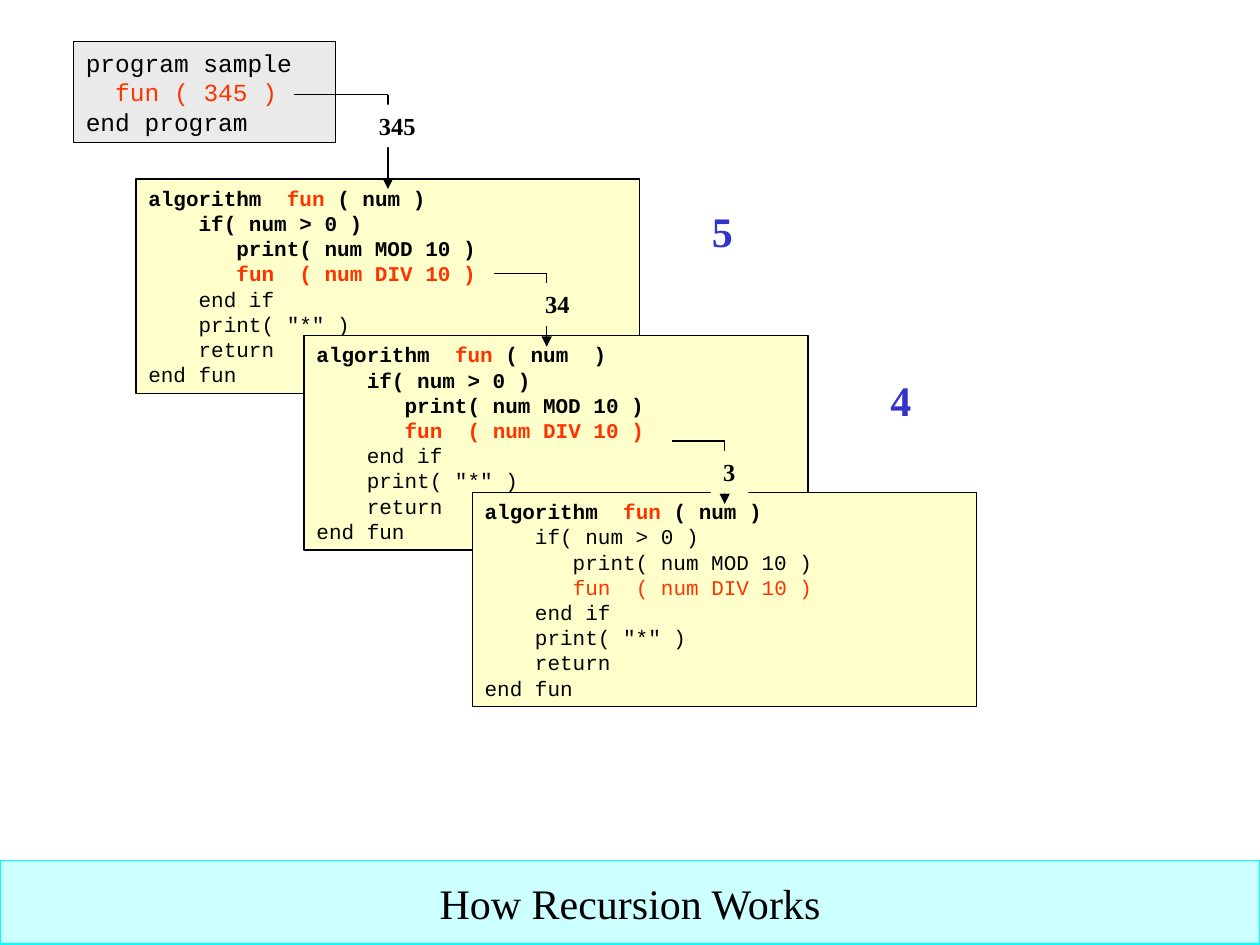
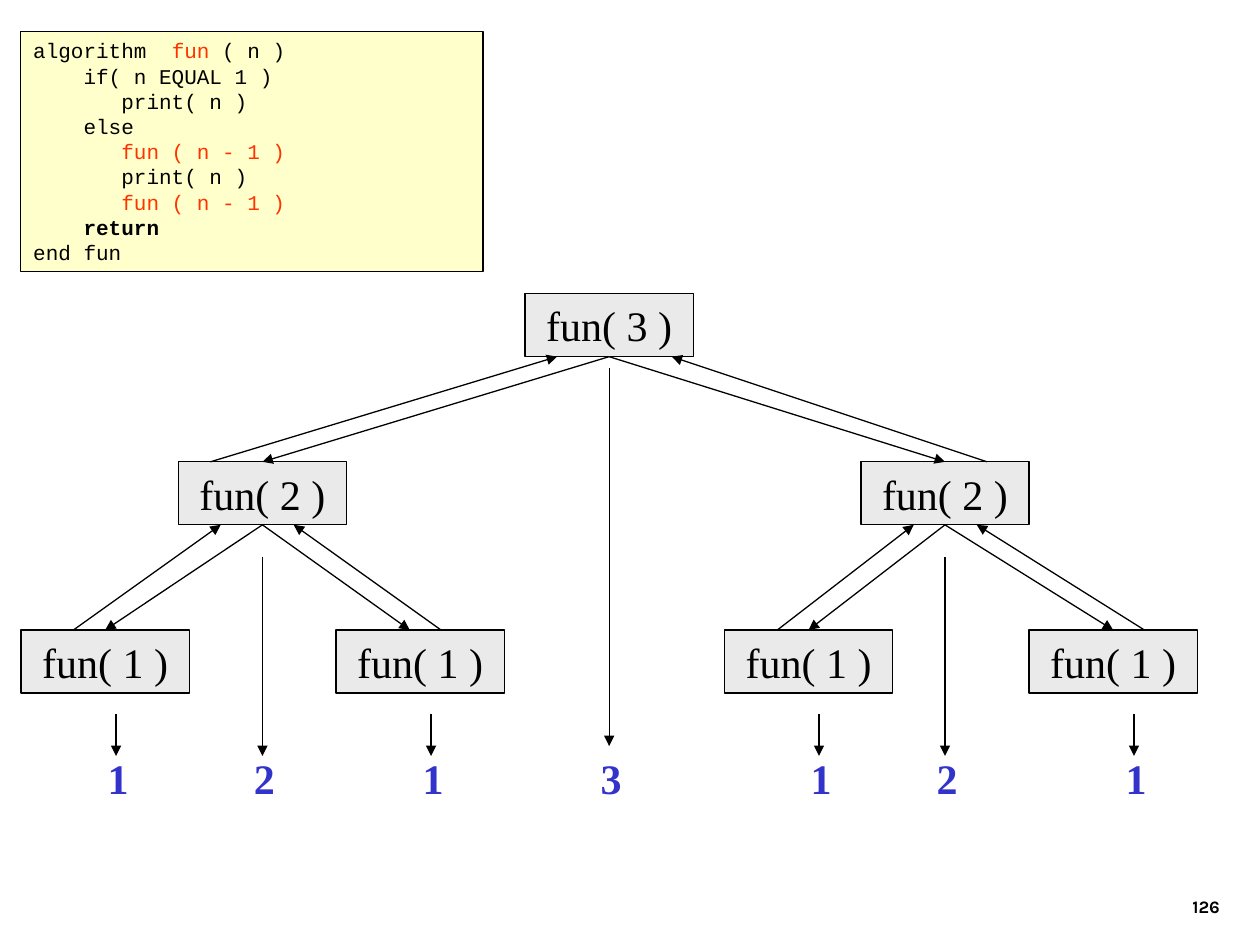
"""Build two slides that show how recursive calls unfold."""
from dataclasses import dataclass
from typing import Optional

from lxml import etree
from pptx import Presentation
from pptx.dml.color import RGBColor
from pptx.enum.shapes import MSO_CONNECTOR, MSO_SHAPE
from pptx.enum.text import MSO_ANCHOR, MSO_AUTO_SIZE, PP_ALIGN
from pptx.oxml.ns import qn
from pptx.shapes.autoshape import Shape
from pptx.shapes.connector import Connector
from pptx.slide import Slide
from pptx.text.text import TextFrame
from pptx.util import Cm, Pt

STRAIGHT = MSO_CONNECTOR.STRAIGHT
RECTANGLE = MSO_SHAPE.RECTANGLE
TOP, MIDDLE, BOTTOM = MSO_ANCHOR.TOP, MSO_ANCHOR.MIDDLE, MSO_ANCHOR.BOTTOM
LEFT, CENTER, RIGHT = PP_ALIGN.LEFT, PP_ALIGN.CENTER, PP_ALIGN.RIGHT
NO_AUTOFIT = MSO_AUTO_SIZE.NONE
TOP_SITE, BOTTOM_SITE = 0, 2

BLACK = RGBColor(0x00, 0x00, 0x00)
WHITE = RGBColor(0xFF, 0xFF, 0xFF)
GREY = RGBColor(0xEA, 0xEA, 0xEA)
CREAM = RGBColor(0xFF, 0xFF, 0xCC)
RED = RGBColor(0xFF, 0x33, 0x00)
BLUE = RGBColor(0x33, 0x33, 0xCC)
PALE_CYAN = RGBColor(0xCC, 0xFF, 0xFF)
CYAN = RGBColor(0x00, 0xFF, 0xFF)

SERIF, MONO, SANS = "Times New Roman", "Courier New", "Karla"
LINE_WIDTH = Pt(0.75)
TITLE_ONLY, BLANK = 5, 6


@dataclass(frozen=True)
class Box:
    """A rectangle in centimetres."""
    left: float
    top: float
    width: float
    height: float


@dataclass(frozen=True)
class TextStyle:
    """Font and placement of a text."""
    font: str
    size: int
    color: RGBColor = BLACK
    bold: bool = False
    align: PP_ALIGN = LEFT
    anchor: MSO_ANCHOR = TOP
    wrap: bool = False


@dataclass(frozen=True)
class Frame:
    """One activation of the algorithm and the call that enters it."""
    argument: str
    parameter: str
    bold_lines: range
    call_left: float
    call_turn: float
    call_top: float
    call_tip: float
    label_left: float
    label_width: float
    label_fill: RGBColor
    output: Optional[tuple[str, float, float]] = None


@dataclass(frozen=True)
class Node:
    """A call in the tree, with where its arrows run."""
    argument: int
    depth: int
    center: float
    print_x: float
    parent: Optional[int] = None
    return_start: float = 0
    return_end: float = 0
    call_end: Optional[float] = None


TITLE_STYLE = TextStyle(SERIF, 24, align=CENTER, anchor=MIDDLE)
NODE_STYLE = TITLE_STYLE
LABEL_STYLE = TextStyle(SERIF, 14, bold=True)
OUTPUT_STYLE = TextStyle(SERIF, 24, BLUE, bold=True)
PAGE_STYLE = TextStyle(SANS, 10, bold=True, align=RIGHT, anchor=BOTTOM, wrap=True)

PROGRAM = "program sample\n  |fun ( 345 )|\nend program"
DIGITS_ALGORITHM = """algorithm  |fun |( {} )
    if( num > 0 )
       print( num MOD 10 )
       |fun  ( num DIV 10 )|
    end if
    print( "*" )
    return
end fun"""
TREE_ALGORITHM = """algorithm  |fun |( n )
    if( n EQUAL 1 )
       print( n )
    else
       |fun ( n - 1 )|
       print( n )
       |fun ( n - 1 )|
    return
end fun"""

FRAME_LEFT, FRAME_TOP = 2.74, 3.61
FRAME_STEP_X, FRAME_STEP_Y = 3.39, 3.16
FRAMES = (
    Frame("345", "num", range(4), 5.92, 7.82, 1.91, 3.81, 7.39, 1.24, WHITE,
          ("5", 14.1, 4.01)),
    Frame("34", "num ", range(4), 9.96, 11.02, 5.51, 6.99, 10.74, 0.99, CREAM,
          ("4", 17.7, 7.42)),
    Frame("3", "num", range(1), 13.54, 14.61, 8.89, 10.16, 14.33, 0.76, CREAM),
)

NODE_WIDTH, NODE_HEIGHT = 3.39, 1.27
TREE_TOP, LEVEL_STEP = 5.92, 3.39
PRINT_START = (7.42, 11.23, 14.4)
PRINT_END = (15.04, 15.24, 15.24)
OUTPUT_TOP = 15.04
NODES = (
    Node(3, 0, 12.28, 12.28),
    Node(2, 1, 5.29, 5.29, 0, 4.24, 11.23),
    Node(2, 1, 19.05, 19.05, 0, 19.9, 13.54),
    Node(1, 2, 2.12, 2.34, 1, 1.48, 4.45),
    Node(1, 2, 8.47, 8.69, 1, 8.89, 5.92, 8.26),
    Node(1, 2, 16.3, 16.51, 2, 15.67, 18.42),
    Node(1, 2, 22.44, 22.86, 2, 23.07, 19.69),
)


def write_text(frame: TextFrame, text: str, style: TextStyle,
               bold_lines: range = range(0)) -> None:
    """Fill a frame; parts between bars are red."""
    frame.word_wrap = style.wrap
    frame.auto_size = NO_AUTOFIT
    frame.vertical_anchor = style.anchor
    for index, line in enumerate(text.split("\n")):
        paragraph = frame.add_paragraph() if index else frame.paragraphs[0]
        paragraph.alignment = style.align
        font = paragraph.font
        font.name, font.size = style.font, Pt(style.size)
        font.bold = style.bold or index in bold_lines
        font.color.rgb = style.color
        for position, part in enumerate(line.split("|")):
            if part:
                run = paragraph.add_run()
                run.text = part
                if position % 2:
                    run.font.color.rgb = RED


def paint(shape: Shape, fill: RGBColor, line: Optional[RGBColor]) -> None:
    """Give a shape its fill and outline."""
    shape.fill.solid()
    shape.fill.fore_color.rgb = fill
    if line is None:
        shape.line.fill.background()
    else:
        shape.line.color.rgb = line
        shape.line.width = LINE_WIDTH


def add_box(slide: Slide, box: Box, text: str, style: TextStyle, fill: RGBColor,
            line: Optional[RGBColor] = BLACK, bold_lines: range = range(0)) -> Shape:
    """Draw a filled rectangle with text."""
    shape = slide.shapes.add_shape(RECTANGLE, Cm(box.left), Cm(box.top),
                                   Cm(box.width), Cm(box.height))
    shape.shadow.inherit = False
    paint(shape, fill, line)
    write_text(shape.text_frame, text, style, bold_lines)
    return shape


def add_text(slide: Slide, box: Box, text: str, style: TextStyle) -> None:
    """Place text without a background."""
    shape = slide.shapes.add_textbox(Cm(box.left), Cm(box.top),
                                     Cm(box.width), Cm(box.height))
    write_text(shape.text_frame, text, style)


def add_output(slide: Slide, digit: str, left: float, top: float) -> None:
    """Place a printed digit."""
    add_text(slide, Box(left, top, 0.92, 1.27), digit, OUTPUT_STYLE)


def add_line(slide: Slide, start: tuple[float, float], end: tuple[float, float],
             arrow: bool = True) -> Connector:
    """Draw a straight line, with an arrowhead at its end if asked."""
    connector = slide.shapes.add_connector(
        STRAIGHT, Cm(start[0]), Cm(start[1]), Cm(end[0]), Cm(end[1]))
    connector.line.color.rgb = BLACK
    connector.line.width = LINE_WIDTH
    if arrow:
        etree.SubElement(connector.get_or_add_ln(), qn("a:tailEnd"), type="triangle")
    etree.SubElement(connector.element.spPr, qn("a:effectLst"))
    return connector


def add_frame(slide: Slide, frame: Frame, depth: int) -> None:
    """Draw one activation, the call into it and the digit it prints."""
    box = Box(FRAME_LEFT + depth * FRAME_STEP_X, FRAME_TOP + depth * FRAME_STEP_Y,
              10.16, 4.32)
    add_box(slide, box, DIGITS_ALGORITHM.format(frame.parameter),
            TextStyle(MONO, 12), CREAM, bold_lines=frame.bold_lines)
    corner = (frame.call_turn, frame.call_top)
    add_line(slide, (frame.call_left, frame.call_top), corner, arrow=False)
    add_line(slide, corner, (frame.call_turn, frame.call_tip))
    label = Box(frame.label_left, frame.call_top + 0.2, frame.label_width, 0.86)
    add_box(slide, label, frame.argument, LABEL_STYLE, frame.label_fill, line=None)
    if frame.output:
        add_output(slide, *frame.output)


def build_recursion_slide(presentation: Presentation) -> None:
    """Show the stack of activations."""
    slide = presentation.slides.add_slide(presentation.slide_layouts[TITLE_ONLY])
    title = slide.shapes.title
    title.left, title.top = Cm(0), Cm(17.35)
    title.width, title.height = Cm(25.4), Cm(1.68)
    paint(title, PALE_CYAN, CYAN)
    write_text(title.text_frame, "How Recursion Works", TITLE_STYLE)
    add_box(slide, Box(1.48, 0.84, 5.28, 2.03), PROGRAM, TextStyle(MONO, 14), GREY)
    for depth, frame in enumerate(FRAMES):
        add_frame(slide, frame, depth)


def build_tree_slide(presentation: Presentation) -> None:
    """Show the tree of calls and what each prints."""
    slide = presentation.slides.add_slide(presentation.slide_layouts[BLANK])
    add_text(slide, Box(19.56, 17.35, 5.28, 1.27), "126", PAGE_STYLE)
    add_box(slide, Box(0.42, 0.64, 9.32, 4.83), TREE_ALGORITHM,
            TextStyle(MONO, 12), CREAM, bold_lines=range(7, 8))
    shapes: list[Shape] = []
    for node in NODES:
        top = TREE_TOP + node.depth * LEVEL_STEP
        box = Box(node.center - NODE_WIDTH / 2, top, NODE_WIDTH, NODE_HEIGHT)
        shape = add_box(slide, box, f"fun( {node.argument} )", NODE_STYLE, GREY)
        shapes.append(shape)
        add_line(slide, (node.print_x, PRINT_START[node.depth]),
                 (node.print_x, PRINT_END[node.depth]))
        add_output(slide, str(node.argument), node.print_x - 0.42, OUTPUT_TOP)
        if node.parent is None:
            continue
        parent_bottom = top - LEVEL_STEP + NODE_HEIGHT
        call = add_line(slide, (NODES[node.parent].center, parent_bottom),
                        (node.call_end or node.center, top))
        call.begin_connect(shapes[node.parent], BOTTOM_SITE)
        if node.call_end is None:
            call.end_connect(shape, TOP_SITE)
        add_line(slide, (node.return_start, top), (node.return_end, parent_bottom))


def main() -> None:
    """Build and save the presentation."""
    presentation = Presentation()
    presentation.slide_width, presentation.slide_height = Cm(25.4), Cm(19.05)
    build_recursion_slide(presentation)
    build_tree_slide(presentation)
    presentation.save("out.pptx")


if __name__ == "__main__":
    main()
